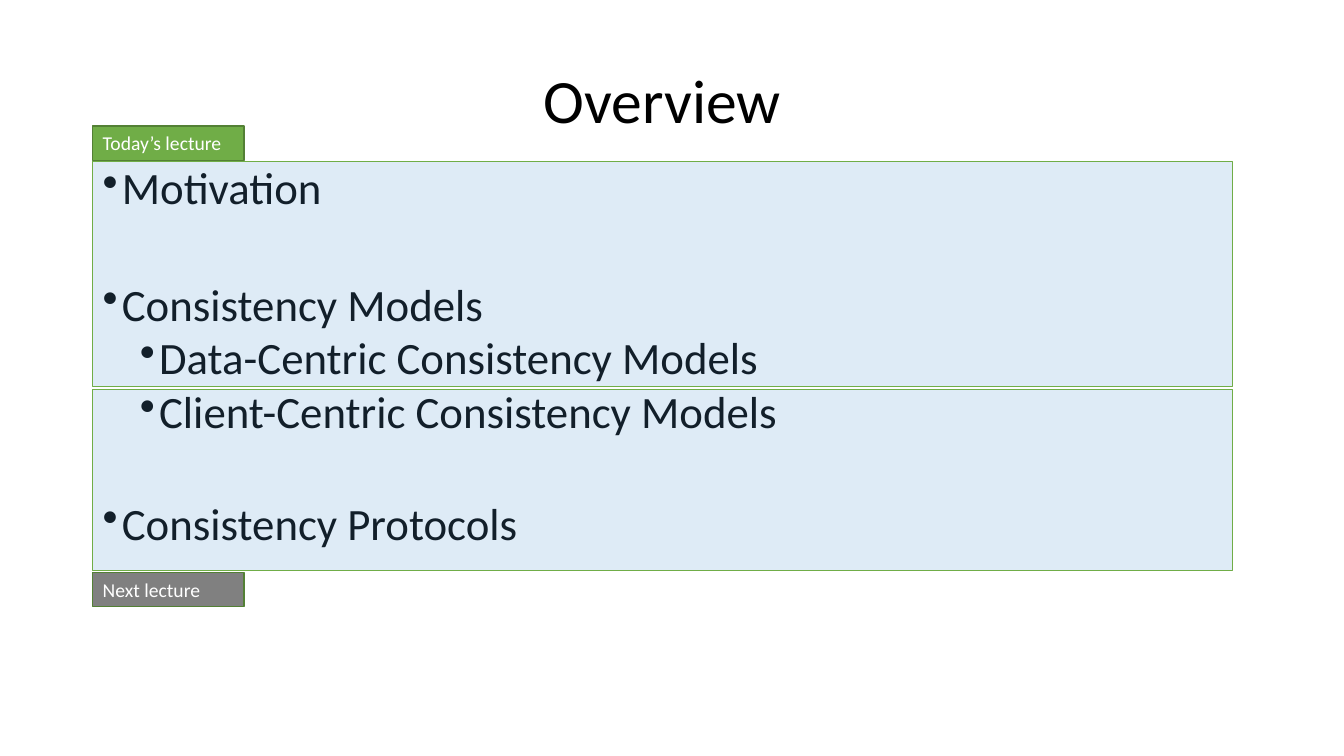
from pptx import Presentation
from pptx import util as u
from pptx.dml import color
from pptx.enum import shapes, text
from pptx.oxml import ns, xmlchemy

LEFT, WIDTH = 0.92, 11.3
TOPICS = [
    ("Motivation", 0, 7.5),
    ("Consistency Models", 0, 48.5),
    ("Data-Centric Consistency Models", 1, 3.8),
    ("Client-Centric Consistency Models", 1, 3.8),
    ("Consistency Protocols", 0, 45),
]
LABELS = [("Today’s lecture", 1.25, "70AD47"), ("Next lecture", 5.68, "808080")]
LECTURE_PARTS = [(1.6, 2.23), (3.86, 1.8)]


def rgb(hex_code):
    """Turn a hex string into a colour."""
    return color.RGBColor.from_string(hex_code)


def apply(target, values):
    """Set each attribute of the target from a dict."""
    for key, value in values.items():
        setattr(target, key, value)


def box(left, top, width, height):
    """Give a place and size as lengths."""
    return [u.Inches(length) for length in (left, top, width, height)]


def write(paragraph, wording, size, hex_code, **layout):
    """Write one run and format it with its paragraph."""
    run = paragraph.add_run()
    run.text = wording
    apply(run.font, {"size": u.Pt(size), "name": "Calibri"})
    run.font.color.rgb = rgb(hex_code)
    apply(paragraph, layout)


def add_title(slide, wording):
    """Place and format the slide title."""
    title = slide.shapes.title
    apply(title, dict(zip(("left", "top", "width", "height"), box(LEFT, 0.3, WIDTH, 1.45))))
    apply(title.text_frame, {"vertical_anchor": text.MSO_ANCHOR.MIDDLE, "word_wrap": True})
    write(title.text_frame.paragraphs[0], wording, 44, "000000",
          alignment=text.PP_ALIGN.CENTER, line_spacing=0.9)


def add_bullet(paragraph, indent):
    """Give a paragraph a hanging bullet."""
    properties = paragraph._p.get_or_add_pPr()
    properties.set("marL", str(u.Inches(indent)))
    properties.set("indent", str(u.Inches(-0.19)))
    bullet = xmlchemy.OxmlElement("a:buChar")
    bullet.set("char", "•")
    properties.append(bullet)


def add_topics(slide):
    """List the lecture topics on two levels."""
    frame = slide.shapes.add_textbox(*box(LEFT, 1.6, WIDTH, 5.5)).text_frame
    frame.word_wrap = True
    for number, (topic, level, gap) in enumerate(TOPICS):
        paragraph = frame.add_paragraph() if number else frame.paragraphs[0]
        write(paragraph, topic, 32, "000000", level=level,
              line_spacing=0.9, space_before=u.Pt(gap))
        add_bullet(paragraph, 0.19 + 0.37 * level)


def add_panel(slide, place, fill, line, line_width):
    """Draw a filled rectangle with an outline."""
    panel = slide.shapes.add_shape(shapes.MSO_SHAPE.RECTANGLE, *place)
    panel.shadow.inherit = False
    panel.fill.solid()
    panel.fill.fore_color.rgb = rgb(fill)
    panel.line.color.rgb = rgb(line)
    panel.line.width = u.Pt(line_width)
    return panel


def add_lecture_part(slide, top, height):
    """Lay a translucent panel over the topics of one lecture."""
    panel = add_panel(slide, box(LEFT, top, WIDTH, height), "5B9BD5", "70AD47", 0.5)
    alpha = xmlchemy.OxmlElement("a:alpha")
    alpha.set("val", "20000")
    panel._element.spPr.find(ns.qn("a:solidFill"))[0].append(alpha)


def add_label(slide, wording, top, fill):
    """Add the tab that names a lecture."""
    label = add_panel(slide, box(LEFT, top, 1.5, 0.34), fill, "538035", 1)
    apply(label.text_frame, {"word_wrap": True, "vertical_anchor": text.MSO_ANCHOR.TOP})
    write(label.text_frame.paragraphs[0], wording, 14, "FFFFFF",
          alignment=text.PP_ALIGN.LEFT)


def main():
    """Build and save the overview slide."""
    deck = Presentation()
    apply(deck, {"slide_width": u.Inches(13.33), "slide_height": u.Inches(7.5)})
    slide = deck.slides.add_slide(deck.slide_layouts[5])
    add_title(slide, "Overview")
    add_topics(slide)
    for part in LECTURE_PARTS:
        add_lecture_part(slide, *part)
    for label in LABELS:
        add_label(slide, *label)
    deck.save("out.pptx")


if __name__ == "__main__":
    main()
